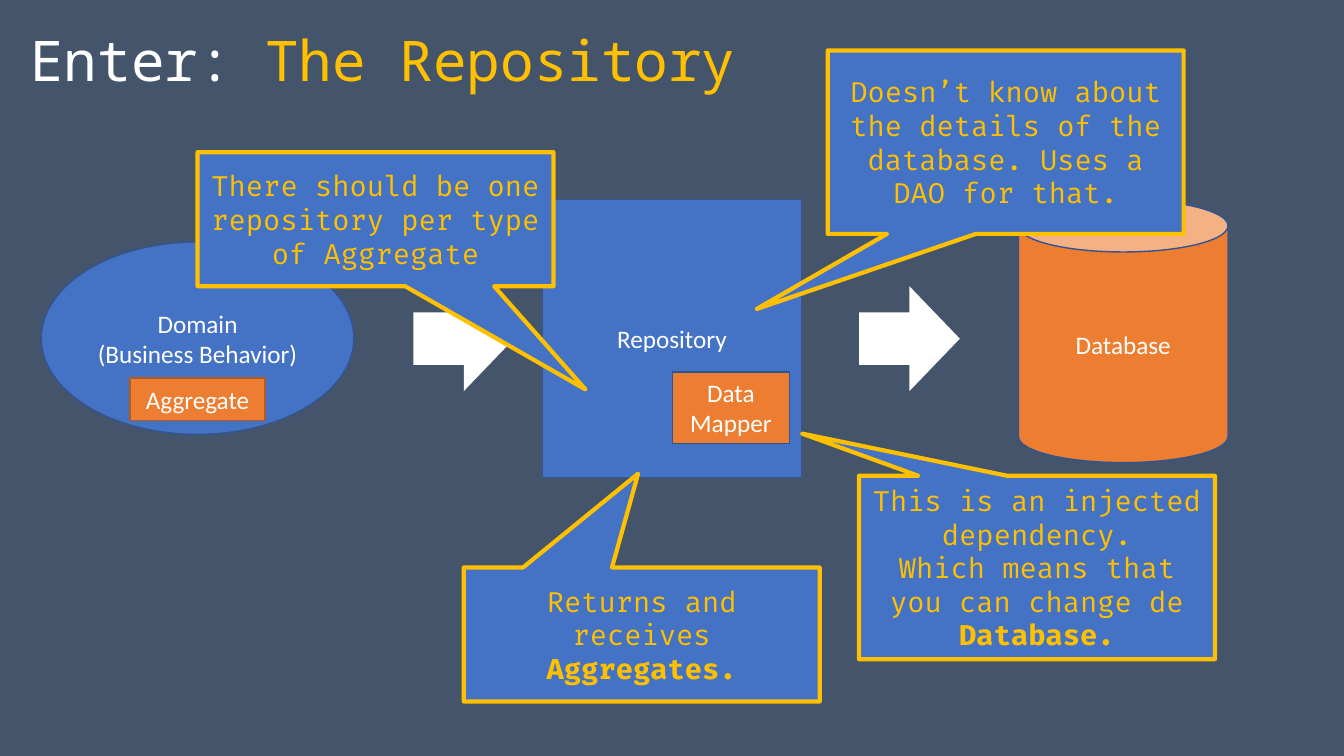
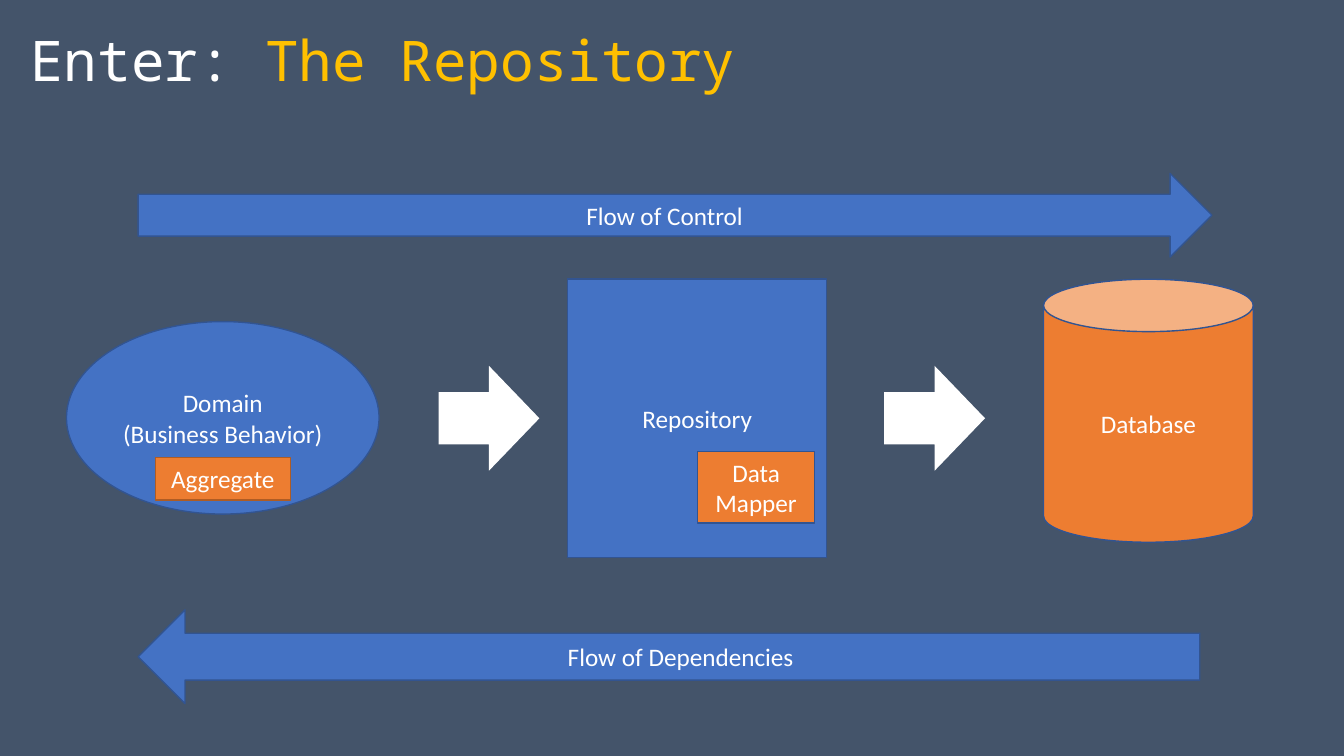
from pptx import Presentation
from pptx import util as u
from pptx.dml.color import RGBColor
from pptx.enum import shapes, text

BLUE, ORANGE, GOLD, WHITE = "4472C4", "ED7D31", "FFC000", "FFFFFF"
SLATE, NAVY, RUST = "44546A", "325491", "AF5C24"
KIND = shapes.MSO_SHAPE


def color(hex_code):
    return RGBColor.from_string(hex_code)


def write(frame, paragraphs, font="Calibri", size=18, ink=WHITE,
          align=text.PP_ALIGN.CENTER, anchor=text.MSO_ANCHOR.MIDDLE):
    frame.word_wrap = True
    frame.auto_size = text.MSO_AUTO_SIZE.NONE
    frame.vertical_anchor = anchor
    for index, pieces in enumerate(paragraphs):
        paragraph = frame.paragraphs[0] if index == 0 else frame.add_paragraph()
        paragraph.alignment = align
        paragraph.line_spacing = 1.0
        for wording, bold, tint in pieces:
            run = paragraph.add_run()
            run.text = wording
            run.font.name = font
            run.font.size = u.Pt(size)
            run.font.bold = bold
            run.font.color.rgb = color(tint or ink)


def plain(*lines):
    return [[(line, False, None)] for line in lines]


def block(slide, kind, box, fill=BLUE, line=NAVY, weight=1, label=(), **style):
    part = slide.shapes.add_shape(kind, *map(u.Inches, box))
    part.shadow.inherit = False
    part.fill.solid()
    part.fill.fore_color.rgb = color(fill)
    if line:
        part.line.color.rgb = color(line)
        part.line.width = u.Pt(weight)
    else:
        part.line.fill.background()
    write(part.text_frame, label, **style)
    return part


def callout(slide, left, top, height, tip, message):
    bubble = block(slide, KIND.RECTANGULAR_CALLOUT, (left, top, 3.53, height),
                   line=GOLD, weight=3, label=message,
                   font="Fira Code", size=20, ink=GOLD)
    for index, offset in enumerate(tip):
        bubble.adjustments[index] = offset


def titled_slide(prs):
    slide = prs.slides.add_slide(prs.slide_layouts[5])
    title = slide.shapes.title
    title.left, title.top, title.width, title.height = map(
        u.Inches, (0.2, 0.2, 12.53, 0.77))
    write(title.text_frame,
          [[("Enter: ", False, None), ("The Repository", False, GOLD)]],
          font="Noto Sans Mono", size=40,
          align=text.PP_ALIGN.LEFT, anchor=text.MSO_ANCHOR.TOP)
    return slide


def repository_diagram(slide, dx=0, dy=0):
    def place(kind, left, top, width, height, *lines, **look):
        block(slide, kind, (left + dx, top + dy, width, height),
              label=plain(*lines), **look)

    place(KIND.OVAL, 0.41, 2.4, 3.1, 1.91, "Domain", "(Business Behavior)")
    place(KIND.RECTANGLE, 5.38, 1.98, 2.57, 2.76, "Repository")
    place(KIND.CAN, 10.1, 1.98, 2.08, 2.61, "Database", fill=ORANGE)
    for arrow_left in (4.1, 8.52):
        place(KIND.RIGHT_ARROW, arrow_left, 2.84, 1, 1.04, fill=WHITE, line=None)
    place(KIND.RECTANGLE, 6.67, 3.69, 1.16, 0.71, "Data Mapper", fill=ORANGE)
    place(KIND.RECTANGLE, 1.29, 3.75, 1.34, 0.42, "Aggregate",
          fill=ORANGE, line=RUST)


def rules_slide(prs):
    slide = titled_slide(prs)
    repository_diagram(slide)
    callout(slide, 4.6, 5.63, 1.33, (-0.01, -1.2),
            [[("Returns and receives ", False, None), ("Aggregates.", True, None)]])
    callout(slide, 1.96, 1.51, 1.33, (0.59, 1.27),
            plain("There should be one repository per type of Aggregate"))
    callout(slide, 8.21, 0.5, 1.82, (-0.7, 0.91),
            plain("Doesn’t know about the details of the database. Uses a DAO for that."))
    callout(slide, 8.52, 4.72, 1.82, (-0.66, -0.73),
            plain("This is an injected dependency.")
            + [[("Which means that you can change de", False, None),
                (" Database.", True, None)]])


def flows_slide(prs):
    slide = titled_slide(prs)
    repository_diagram(slide, dx=0.25, dy=0.79)
    block(slide, KIND.RIGHT_ARROW, (1.37, 1.72, 10.65, 0.83),
          label=plain("Flow of Control"))
    block(slide, KIND.LEFT_ARROW, (1.37, 6.05, 10.53, 0.93),
          label=plain("Flow of Dependencies"))


def main():
    prs = Presentation()
    prs.slide_width, prs.slide_height = u.Inches(13.33), u.Inches(7.5)
    backdrop = prs.slide_master.background.fill
    backdrop.solid()
    backdrop.fore_color.rgb = color(SLATE)
    rules_slide(prs)
    flows_slide(prs)
    prs.save("out.pptx")


if __name__ == "__main__":
    main()
